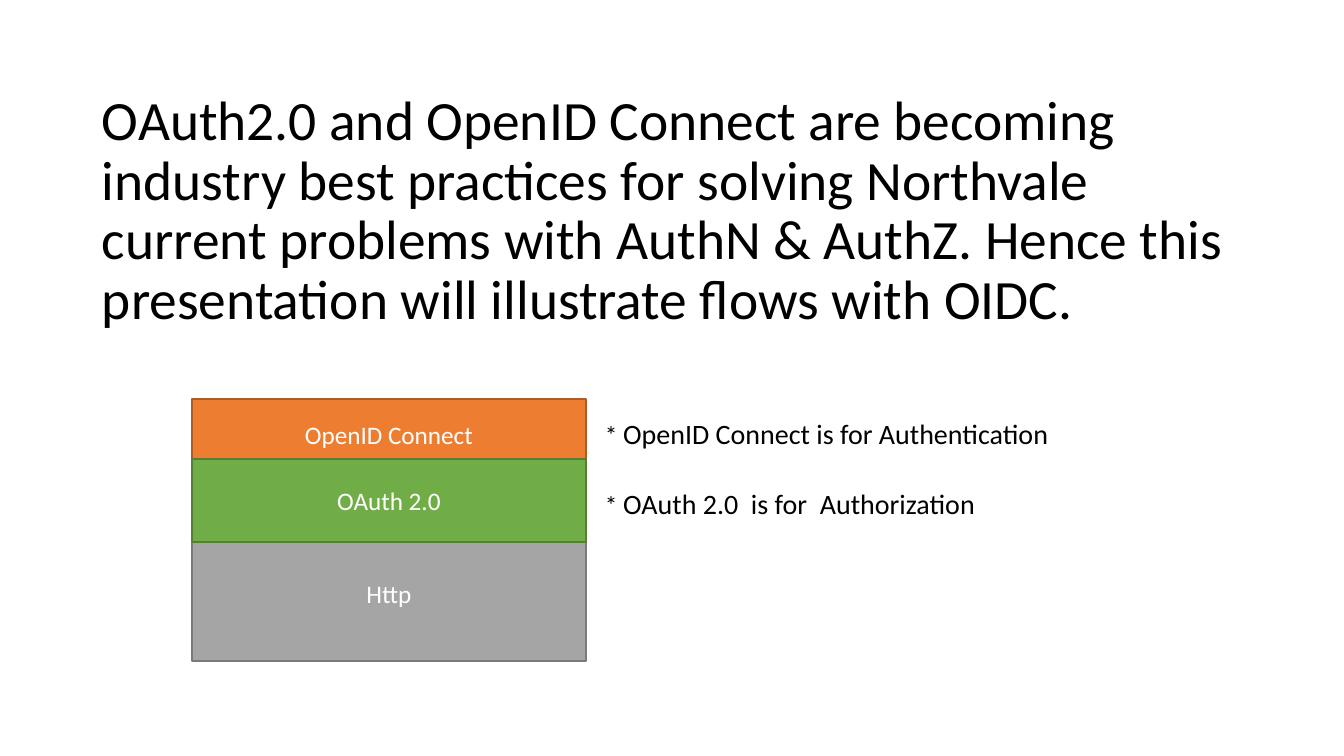
from dataclasses import dataclass

from pptx import Presentation
from pptx.dml.color import RGBColor
from pptx.enum.shapes import MSO_SHAPE
from pptx.enum.text import MSO_ANCHOR, PP_ALIGN
from pptx.util import Emu, Pt

TITLE = ("OAuth2.0 and OpenID Connect are becoming industry best practices "
         "for solving Northvale current problems with AuthN & AuthZ. "
         "Hence this presentation will illustrate flows with OIDC.")
TITLE_BOX = (92, 92, 1166, 240)

# label, top, height, fill, line; back to front
LAYERS = [
    ("OpenID Connect", 399, 70, "ED7D31", "AF5C24"),
    ("Http", 526, 135, "A5A5A5", "7A7A7A"),
    ("OAuth 2.0", 459, 83, "70AD47", "538035"),
]
LAYER_LEFT, LAYER_WIDTH = 192, 394

# text, width
NOTES = [
    ("OpenID Connect is for Authentication", 523),
    ("OAuth 2.0  is for  Authorization", 440),
]
NOTE_LEFT, NOTE_TOP, NOTE_STEP, NOTE_HEIGHT = 595, 412, 70, 44

SLIDE_SIZE = (1344, 756)
SCALE = 12192000 / SLIDE_SIZE[0]


@dataclass(frozen=True)
class Theme:
    font: str = "Calibri"
    ink: str = "000000"
    on_fill: str = "FFFFFF"
    title: float = 39.6
    body: float = 18
    note: float = 20
    line: float = 1


theme = Theme()


def px(*lengths):
    return [Emu(round(n * SCALE)) for n in lengths]


def add_run(p, text, size, color):
    r = p.add_run()
    r.text = text
    r.font.name = theme.font
    r.font.size = Pt(size)
    r.font.color.rgb = RGBColor.from_string(color)


def add_text(s, box, runs, anchor=MSO_ANCHOR.TOP):
    """Add a text box from (text, size) runs and return its paragraph."""
    tf = s.shapes.add_textbox(*px(*box)).text_frame
    tf.word_wrap = True
    tf.vertical_anchor = anchor
    p = tf.paragraphs[0]
    for text, size in runs:
        add_run(p, text, size, theme.ink)
    return p


def add_layer(s, label, top, height, fill, line):
    sp = s.shapes.add_shape(MSO_SHAPE.RECTANGLE,
                            *px(LAYER_LEFT, top, LAYER_WIDTH, height))
    sp.shadow.inherit = False
    sp.fill.solid()
    sp.fill.fore_color.rgb = RGBColor.from_string(fill)
    sp.line.color.rgb = RGBColor.from_string(line)
    sp.line.width = Pt(theme.line)
    tf = sp.text_frame
    tf.vertical_anchor = MSO_ANCHOR.MIDDLE
    p = tf.paragraphs[0]
    p.alignment = PP_ALIGN.CENTER
    add_run(p, label, theme.body, theme.on_fill)


def main():
    prs = Presentation()
    prs.slide_width, prs.slide_height = px(*SLIDE_SIZE)
    s = prs.slides.add_slide(prs.slide_layouts[6])

    p = add_text(s, TITLE_BOX, [(TITLE, theme.title)], MSO_ANCHOR.MIDDLE)
    p.line_spacing = 0.9
    for layer in LAYERS:
        add_layer(s, *layer)
    for i, (text, width) in enumerate(NOTES):
        box = (NOTE_LEFT, NOTE_TOP + i * NOTE_STEP, width, NOTE_HEIGHT)
        add_text(s, box, [("* ", theme.body), (text, theme.note)])

    prs.save("out.pptx")


if __name__ == "__main__":
    main()
